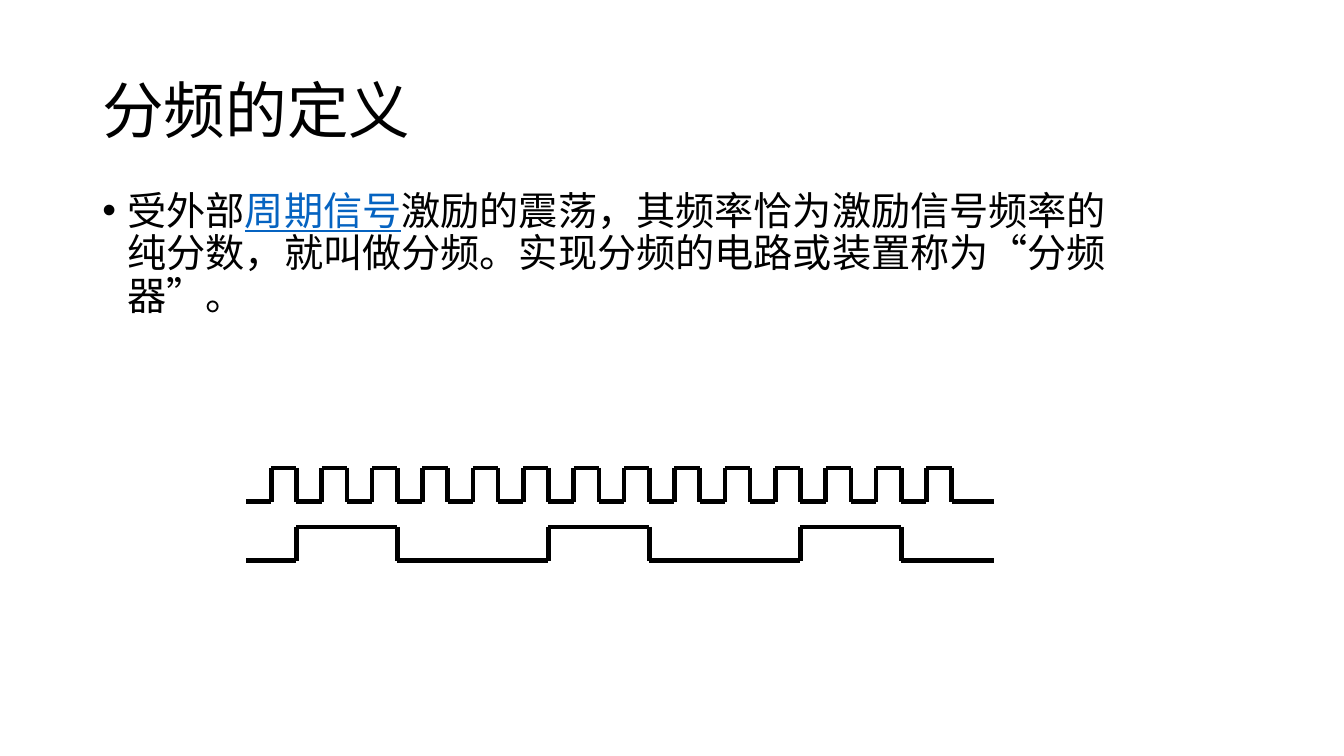
from lxml import etree
from pptx import Presentation
from pptx.dml.color import RGBColor
from pptx.enum.shapes import MSO_CONNECTOR
from pptx.enum.text import MSO_ANCHOR
from pptx.oxml.ns import qn
from pptx.util import Pt

STRAIGHT = MSO_CONNECTOR.STRAIGHT
TOP, MIDDLE = MSO_ANCHOR.TOP, MSO_ANCHOR.MIDDLE
BLACK = RGBColor(0x00, 0x00, 0x00)
LINK_BLUE = RGBColor(0x05, 0x63, 0xC1)
FONT = "Noto Sans CJK SC"

prs = Presentation()
prs.slide_width, prs.slide_height = Pt(960), Pt(540)
s = prs.slides.add_slide(prs.slide_layouts[6])


def add_text(left, top, width, height, anchor, size, runs):
    tf = s.shapes.add_textbox(Pt(left), Pt(top), Pt(width), Pt(height)).text_frame
    tf.word_wrap = True
    tf.vertical_anchor = anchor
    p = tf.paragraphs[0]
    p.line_spacing = 0.9
    for text, color, underline in runs:
        r = p.add_run()
        r.text = text
        r.font.color.rgb = color
        for name, value in {"name": FONT, "size": Pt(size), "underline": underline}.items():
            setattr(r.font, name, value)
        etree.SubElement(r.font._element, qn("a:ea"), typeface=FONT)
    return p


# Title and definition
add_text(66, 28.75, 828, 104.4, MIDDLE, 44, [("分频的定义", BLACK, False)])
p = add_text(66, 133.2, 738, 267.1, TOP, 28, [
    ("受外部", BLACK, False),
    ("周期信号", LINK_BLUE, True),
    ("激励的震荡，其频率恰为激励信号频率的纯分数，就叫做分频。"
     "实现分频的电路或装置称为“分频器”。", BLACK, False),
])
pPr = p._p.get_or_add_pPr()
pPr.set("marL", str(Pt(18)))
pPr.set("indent", str(Pt(-18)))
etree.SubElement(pPr, qn("a:buFont"), typeface="Arial")
etree.SubElement(pPr, qn("a:buChar"), char="•")

# Square waves: the level flips at each edge, counted in half clock periods
START, END, HALF_PERIOD = 175.75, 710, 18
clock = (334.2, 358.4, range(1, 29))
divided = (376.4, 400.5, [2, 6, 12, 16, 22, 26])
for high, low, edges in (clock, divided):
    points = [(START, low)]
    level, other = low, high
    for edge in edges:
        x = START + edge * HALF_PERIOD
        points += [(x, level), (x, other)]
        level, other = other, level
    points.append((END, level))
    for (x1, y1), (x2, y2) in zip(points, points[1:]):
        line = s.shapes.add_connector(STRAIGHT, Pt(x1), Pt(y1), Pt(x2), Pt(y2))
        line.line.color.rgb = BLACK
        line.line.width = Pt(3.25)
        etree.SubElement(line._element.spPr, qn("a:effectLst"))

prs.save("out.pptx")
